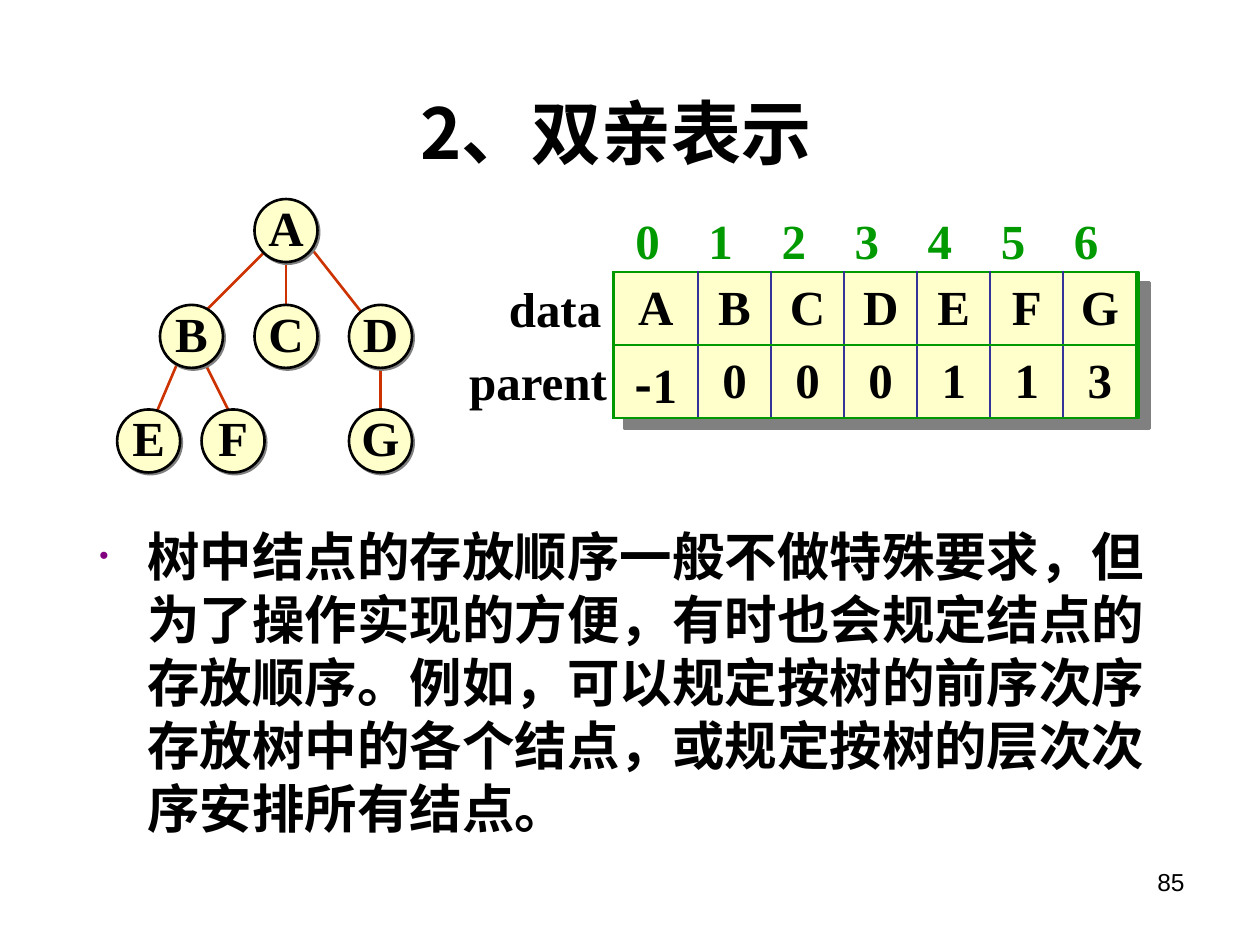
from lxml import etree
from pptx import Presentation, util as u
from pptx.dml.color import RGBColor
from pptx.enum import shapes, text
from pptx.oxml import ns

SERIF = "Times New Roman"
HAN = "Noto Sans CJK SC"
BLACK, GREEN, BLUE, RED = "000000", "009900", "333399", "CC3300"
CREAM, GREY, PURPLE = "FFFFCC", "808080", "800080"
CENTER = text.PP_ALIGN.CENTER

NODES = {"A": (2.02, 1.58), "B": (1.27, 2.42), "C": (2.02, 2.42),
         "D": (2.77, 2.42), "E": (0.93, 3.25), "F": (1.6, 3.25),
         "G": (2.77, 3.25)}
EDGES = [(3.02, 2.83, 3.02, 3.42), (2.43, 1.92, 3.02, 2.67),
         (1.6, 2.83, 1.85, 3.33), (1.43, 2.83, 1.18, 3.42),
         (2.1, 2, 1.6, 2.5), (2.27, 2, 2.27, 2.5)]
PARENTS = ["-1", "0", "0", "0", "1", "1", "3"]
TABLE = (4.87, 2.16, 4.17, 1.16)
FIRST_WIDTH, COLUMN_WIDTH = 0.67, 0.58
BODY = ("树中结点的存放顺序一般不做特殊要求，但为了操作实现的方便，有时也会规定结点的"
        "存放顺序。例如，可以规定按树的前序次序存放树中的各个结点，或规定按树的层次次"
        "序安排所有结点。")


def rgb(value):
    """Turn a hex string into a colour."""
    return RGBColor.from_string(value)


def child(parent, tag, **attributes):
    """Append a drawing element to a parent and return it."""
    return etree.SubElement(parent, ns.qn(tag), **attributes)


def add_span(para, words, size=28, font=SERIF, asian=HAN, color=BLACK, bold=True):
    """Append a formatted run to a paragraph."""
    span = para.add_run()
    span.text = words
    span.font.size = u.Pt(size)
    span.font.bold = bold
    span.font.color.rgb = rgb(color)
    span.font.name = font
    child(span.font._element, "a:ea", typeface=asian)


def write(frame, words, align=CENTER, anchor=text.MSO_ANCHOR.MIDDLE,
          margins=(0, 0, 0, 0), **style):
    """Fill a text frame with one formatted paragraph and return it."""
    frame.word_wrap = True
    frame.vertical_anchor = anchor
    (frame.margin_left, frame.margin_top,
     frame.margin_right, frame.margin_bottom) = map(u.Inches, margins)
    para = frame.paragraphs[0]
    para.alignment = align
    add_span(para, words, **style)
    return para


def add_label(page, words, place, **style):
    """Add a text box and return its paragraph."""
    box = page.shapes.add_textbox(*map(u.Inches, place))
    return write(box.text_frame, words, **style)


def add_line(page, ends, color):
    """Draw a straight line without shadow."""
    line = page.shapes.add_connector(shapes.MSO_CONNECTOR.STRAIGHT,
                                     *map(u.Inches, ends))
    line.line.color.rgb = rgb(color)
    line.line.width = u.Pt(1.5)
    child(line._element.spPr, "a:effectLst")


def add_shadowed(page, kind, place, color, distance):
    """Add a cream shape with an outline and a hard grey shadow."""
    box = page.shapes.add_shape(kind, *map(u.Inches, place))
    box.fill.solid()
    box.fill.fore_color.rgb = rgb(CREAM)
    box.line.color.rgb = rgb(color)
    box.line.width = u.Pt(1.5)
    effects = child(box._element.spPr, "a:effectLst")
    shadow = child(effects, "a:outerShdw", dist=str(u.Pt(distance)),
                   dir="2700000", algn="ctr", rotWithShape="0")
    child(shadow, "a:srgbClr", val=GREY)
    return box


def add_tree(page):
    """Draw the edges and then the lettered nodes."""
    for ends in EDGES:
        add_line(page, ends, RED)
    for letter, corner in NODES.items():
        node = add_shadowed(page, shapes.MSO_SHAPE.OVAL, (*corner, 0.5, 0.5), BLACK, 1.4)
        write(node.text_frame, letter, margins=(0, 0, 0, 0.06))


def set_borders(cell, **colors):
    """Give each named side of a cell a solid border."""
    properties = cell._tc.get_or_add_tcPr()
    for side, color in colors.items():
        border = child(properties, f"a:ln{side}", w=str(u.Pt(1.5)))
        child(child(border, "a:solidFill"), "a:srgbClr", val=color)


def fill_cell(cell, words):
    """Write the centred value of a cell on a cream ground."""
    cell.fill.solid()
    cell.fill.fore_color.rgb = rgb(CREAM)
    cell.vertical_anchor = text.MSO_ANCHOR.MIDDLE
    cell.margin_left = cell.margin_right = 0
    cell.margin_top = cell.margin_bottom = 0
    para = cell.text_frame.paragraphs[0]
    para.alignment = CENTER
    if words.startswith("-"):
        add_span(para, "-", font=HAN)
    add_span(para, words.lstrip("-"))


def add_array(page):
    """Add the parent array with its indices and row names."""
    left, top, width, height = TABLE
    add_shadowed(page, shapes.MSO_SHAPE.RECTANGLE, TABLE, GREEN, 8.5)
    rows = [list(NODES), PARENTS]
    last = len(PARENTS) - 1
    table = page.shapes.add_table(2, last + 1, *map(u.Inches, TABLE)).table
    table.first_row = table.horz_banding = False
    for index, column in enumerate(table.columns):
        column.width = u.Inches(COLUMN_WIDTH if index else FIRST_WIDTH)
        add_label(page, str(index), (4.85 + index * COLUMN_WIDTH, 1.62, COLUMN_WIDTH, 0.57),
                  color=GREEN)
    for row, values in enumerate(rows):
        for index, value in enumerate(values):
            cell = table.cell(row, index)
            set_borders(cell, L=BLUE if index else GREEN,
                        R=BLUE if index < last else GREEN, T=GREEN, B=GREEN)
            fill_cell(cell, value)
    add_label(page, "data", (3.94, top, 0.93, 0.57))
    add_label(page, "parent", (3.62, top + height / 2, 1.3, 0.57))


def add_body(page):
    """Add the bulleted explanation."""
    para = add_label(page, BODY, (0.69, 4.11, 8.68, 2.71), size=30,
                     align=text.PP_ALIGN.LEFT, anchor=text.MSO_ANCHOR.TOP,
                     margins=(0.1, 0.05, 0.1, 0.05))
    para.line_spacing = u.Pt(36)
    properties = para._p.get_or_add_pPr()
    properties.set("marL", str(u.Inches(0.38)))
    properties.set("indent", str(-u.Inches(0.38)))
    child(child(properties, "a:buClr"), "a:srgbClr", val=PURPLE)
    child(properties, "a:buSzPct", val="50000")
    child(properties, "a:buFont", typeface="Arial")
    child(properties, "a:buChar", char="•")


def add_title(page, words):
    """Place and format the title placeholder."""
    title = page.shapes.title
    title.left, title.top, title.width, title.height = map(u.Inches, (0.39, 0.54, 9, 1.01))
    write(title.text_frame, words, size=40, font="Noto Sans CJK JP",
          asian="Noto Sans CJK JP")


def main():
    """Build and save the deck."""
    deck = Presentation()
    deck.slide_width, deck.slide_height = u.Inches(10), u.Inches(7.5)
    page = deck.slides.add_slide(deck.slide_layouts[5])
    add_title(page, "2、双亲表示")
    add_tree(page)
    add_array(page)
    add_body(page)
    add_label(page, "85", (7.17, 6.83, 2.33, 0.52), size=14, font="Arial", bold=False,
              align=text.PP_ALIGN.RIGHT, anchor=text.MSO_ANCHOR.TOP,
              margins=(0.1, 0.05, 0.1, 0.05))
    deck.save("out.pptx")


if __name__ == "__main__":
    main()
